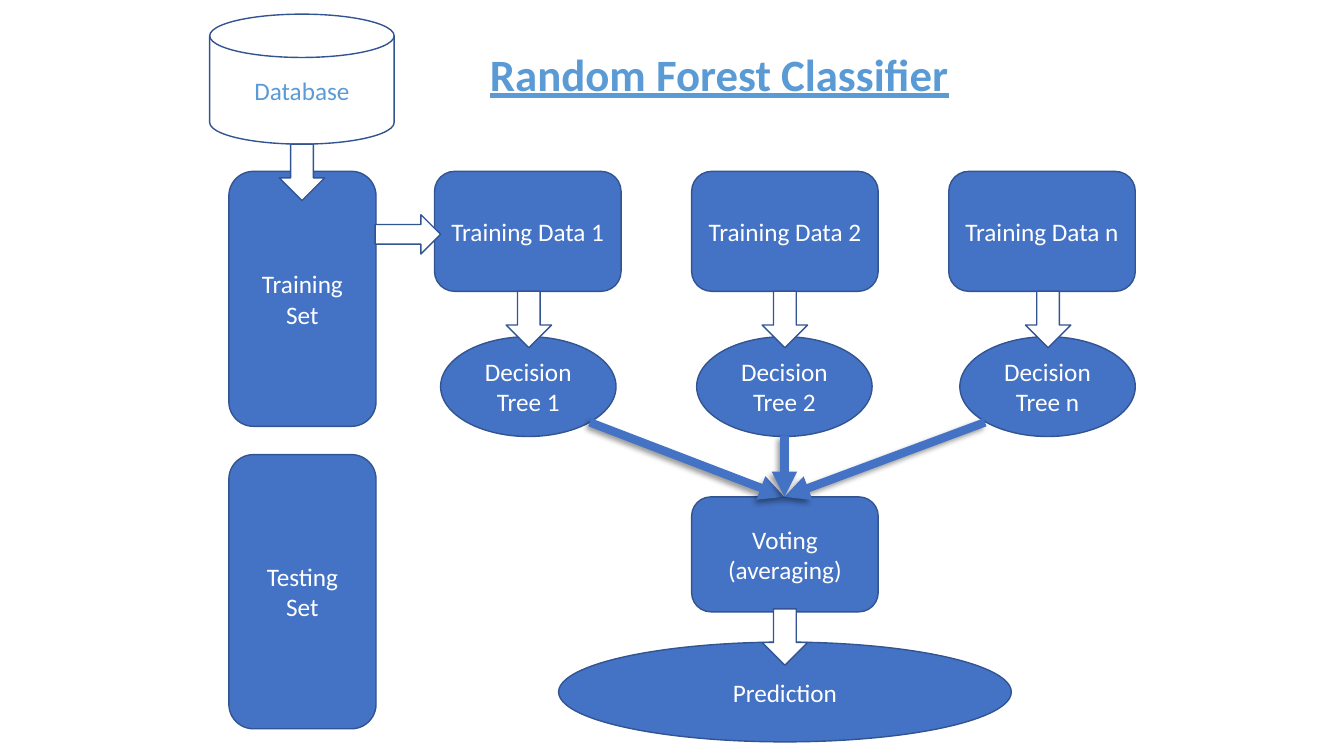
from lxml.etree import SubElement
from pptx import Presentation
from pptx.dml.color import RGBColor
from pptx.enum.shapes import MSO_CONNECTOR, MSO_SHAPE
from pptx.enum.text import MSO_ANCHOR, PP_ALIGN
from pptx.oxml import parse_xml
from pptx.oxml.ns import nsdecls, qn
from pptx.util import Emu, Pt

EMU_PER_PX = 9144
FONT = "Calibri"
BLUE = RGBColor(0x44, 0x72, 0xC4)
DARK_BLUE = RGBColor(0x32, 0x54, 0x91)
LIGHT_BLUE = RGBColor(0x5B, 0x9B, 0xD5)
WHITE = RGBColor(0xFF, 0xFF, 0xFF)

SHADOW = f"""<a:effectLst {nsdecls("a")}>
  <a:outerShdw blurRad="50800" dist="38100" dir="8100000" algn="tr" rotWithShape="0">
    <a:srgbClr val="000000"><a:alpha val="40000"/></a:srgbClr>
  </a:outerShdw>
</a:effectLst>"""


def px(value):
    return Emu(value * EMU_PER_PX)


def write(frame, text, size, color, anchor=MSO_ANCHOR.MIDDLE):
    frame.text = text
    frame.word_wrap = True
    frame.vertical_anchor = anchor
    for paragraph in frame.paragraphs:
        paragraph.alignment = PP_ALIGN.CENTER
        for run in paragraph.runs:
            run.font.name = FONT
            run.font.size = Pt(size)
            run.font.color.rgb = color


def add_node(slide, kind, box, text="", fill=BLUE, color=WHITE):
    node = slide.shapes.add_shape(kind, *map(px, box))
    node.shadow.inherit = False
    if fill is None:
        node.fill.background()
    else:
        node.fill.solid()
        node.fill.fore_color.rgb = fill
    node.line.color.rgb = DARK_BLUE
    node.line.width = Pt(1)
    if text:
        write(node.text_frame, text, 18, color)


def add_step(slide, box, text):
    add_node(slide, MSO_SHAPE.FLOWCHART_ALTERNATE_PROCESS, box, text)


def add_down_arrow(slide, center, top):
    add_node(slide, MSO_SHAPE.DOWN_ARROW, (center - 22, top, 45, 56), fill=WHITE)


def add_vote(slide, start, end):
    vote = slide.shapes.add_connector(MSO_CONNECTOR.STRAIGHT, *map(px, start + end))
    vote.line.color.rgb = BLUE
    vote.line.width = Pt(6)
    SubElement(vote.line._get_or_add_ln(), qn("a:tailEnd"), type="triangle")
    vote._element.spPr.append(parse_xml(SHADOW))


def add_title(slide, text):
    title = slide.shapes.title
    title.left, title.top, title.width, title.height = map(px, (437, 41, 553, 64))
    write(title.text_frame, text, 32, LIGHT_BLUE, MSO_ANCHOR.TOP)
    font = title.text_frame.paragraphs[0].runs[0].font
    font.bold = True
    font.underline = True


def main():
    presentation = Presentation()
    presentation.slide_width = px(1333)
    presentation.slide_height = px(750)
    slide = presentation.slides.add_slide(presentation.slide_layouts[5])
    add_title(slide, "Random Forest Classifier")

    add_node(slide, MSO_SHAPE.FLOWCHART_MAGNETIC_DISK, (208, 14, 183, 129),
             "Database", None, LIGHT_BLUE)
    add_step(slide, (227, 170, 146, 253), "Training\nSet")
    add_step(slide, (227, 451, 146, 272), "Testing\nSet")
    add_step(slide, (686, 493, 185, 114), "Voting\n(averaging)")
    add_node(slide, MSO_SHAPE.OVAL, (554, 637, 449, 99), "Prediction")

    tree_centers = {"1": 524, "2": 778, "n": 1039}
    for column, (label, center) in enumerate(tree_centers.items()):
        add_step(slide, (431 + 255 * column, 170, 185, 119), f"Training Data {label}")
        add_node(slide, MSO_SHAPE.OVAL, (center - 87, 334, 174, 99),
                 f"Decision Tree {label}")
        add_down_arrow(slide, center, 289)

    add_down_arrow(slide, 299, 143)
    add_node(slide, MSO_SHAPE.RIGHT_ARROW, (372, 213, 65, 39), fill=WHITE)

    ballot = (778, 493)
    add_vote(slide, (585, 419), ballot)
    add_down_arrow(slide, 778, 604)
    add_vote(slide, (977, 419), ballot)
    add_vote(slide, (778, 433), ballot)

    presentation.save("out.pptx")


if __name__ == "__main__":
    main()
